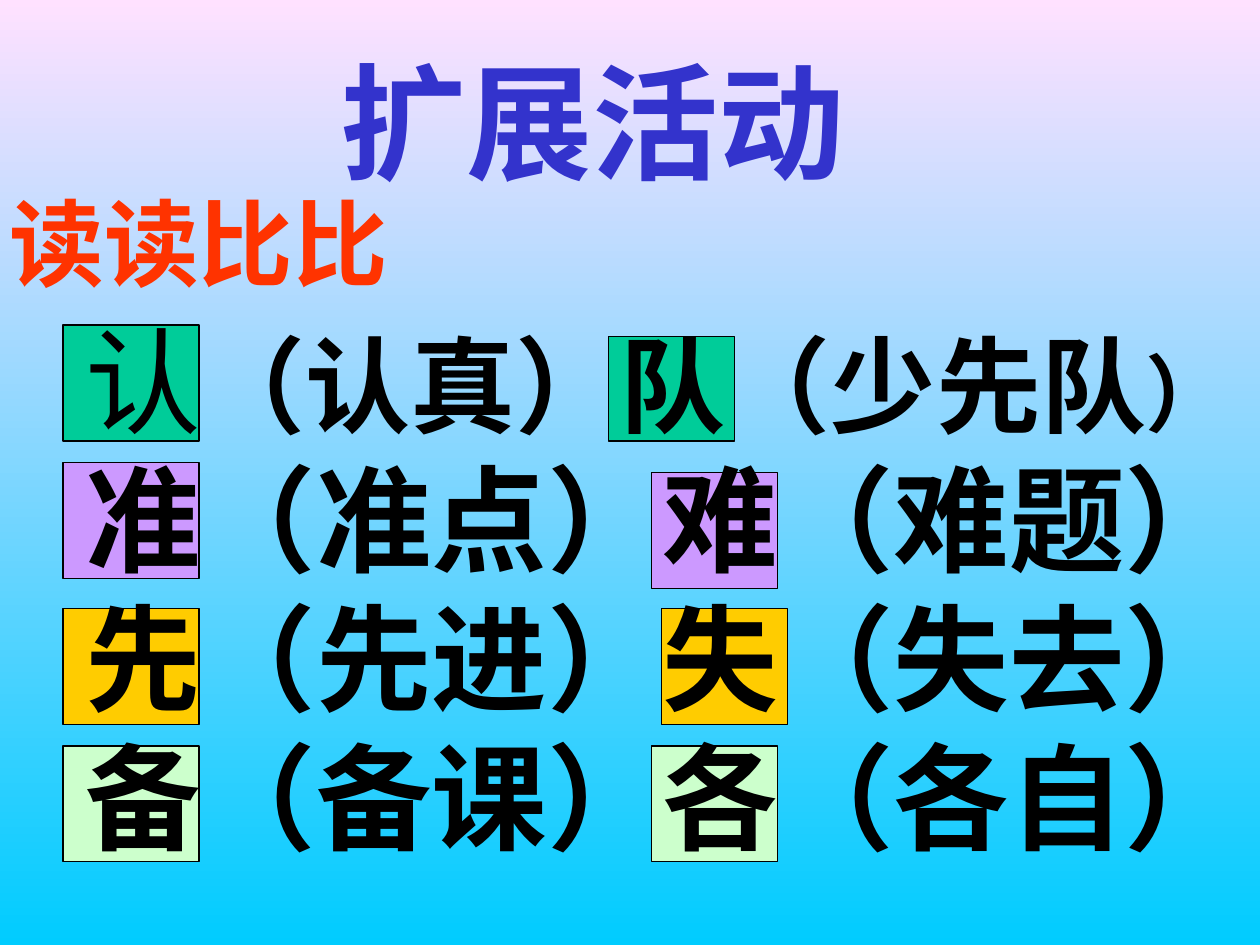
from pptx import Presentation
from pptx.dml.color import RGBColor
from pptx.enum.shapes import MSO_SHAPE as Shape
from pptx.enum.text import MSO_ANCHOR as Anchor, MSO_AUTO_SIZE as AutoSize, PP_ALIGN as Align
from pptx.util import Inches, Pt

COLORS = {
    "sky_top": "FFE1FF", "sky_bottom": "00CCFF",
    "title": "3333CC", "subtitle": "FF3300", "ink": "000000",
    "green": "00CC99", "purple": "CC99FF", "gold": "FFCC00", "mint": "CCFFCC",
}


def rgb(name):
    return RGBColor.from_string(COLORS[name])


def write(frame, runs, color="ink", font="Arial", align=Align.LEFT,
          anchor=Anchor.TOP, wrap=True, autosize=AutoSize.SHAPE_TO_FIT_TEXT):
    """Fill a text frame with (text, size, bold) runs in one paragraph."""
    frame.word_wrap = wrap
    frame.auto_size = autosize
    frame.vertical_anchor = anchor
    paragraph = frame.paragraphs[0]
    paragraph.alignment = align
    for text, size, bold in runs:
        run = paragraph.add_run()
        run.text = text
        run.font.size = Pt(size)
        run.font.bold = bold
        run.font.name = font
        run.font.color.rgb = rgb(color)


prs = Presentation()
prs.slide_width, prs.slide_height = Inches(10), Inches(7.5)
slide = prs.slides.add_slide(prs.slide_layouts[5])

# Background: vertical gradient
sky = slide.background.fill
sky.gradient()
sky.gradient_angle = 270
for stop, name in zip(sky.gradient_stops, ("sky_top", "sky_bottom")):
    stop.color.rgb = rgb(name)

# Coloured tiles behind the characters, one pair per row
LEFT, LEFT_WIDTH, RIGHT_WIDTH, TILE_HEIGHT = 0.5, 1.08, 1, 0.92
tile_rows = [  # colour, left top, right column, right top, right height
    ("green", 2.58, 4.83, 2.67, 0.83),
    ("purple", 3.67, 5.17, 3.75, TILE_HEIGHT),
    ("gold", 4.83, 5.25, 4.83, TILE_HEIGHT),
    ("mint", 5.92, 5.17, 5.92, TILE_HEIGHT),
]
for color, left_top, right, right_top, right_height in tile_rows:
    for box in ((LEFT, left_top, LEFT_WIDTH, TILE_HEIGHT),
                (right, right_top, RIGHT_WIDTH, right_height)):
        tile = slide.shapes.add_shape(Shape.RECTANGLE, *map(Inches, box))
        tile.shadow.inherit = False
        tile.fill.solid()
        tile.fill.fore_color.rgb = rgb(color)
        tile.line.color.rgb = rgb("ink")
        tile.line.width = Pt(0.75)

# Title
title = slide.shapes.title
title.left, title.top, title.width, title.height = map(Inches, (2.33, 0.33, 4.75, 1.25))
write(title.text_frame, [("扩展活动", 72, True)], color="title", font="Times New Roman",
      align=Align.CENTER, anchor=Anchor.MIDDLE, autosize=AutoSize.NONE)

# Characters with example words, wrapping to one pair per line
words = slide.shapes.add_textbox(*map(Inches, (0.58, 2.41, 9.5, 4.5)))
write(words.text_frame, [
    ("认", 66, False),
    ("（认真）队（少先队", 60, True),
    ("）", 48, True),
    ("准（准点）难（难题）先（先进）失（失去）备（备课）各（各自）", 66, True),
])

# Subtitle
subtitle = slide.shapes.add_textbox(*map(Inches, (-0.02, 1.42, 3.2, 1)))
write(subtitle.text_frame, [("读读比比", 54, True)], color="subtitle", wrap=False)

prs.save("out.pptx")
